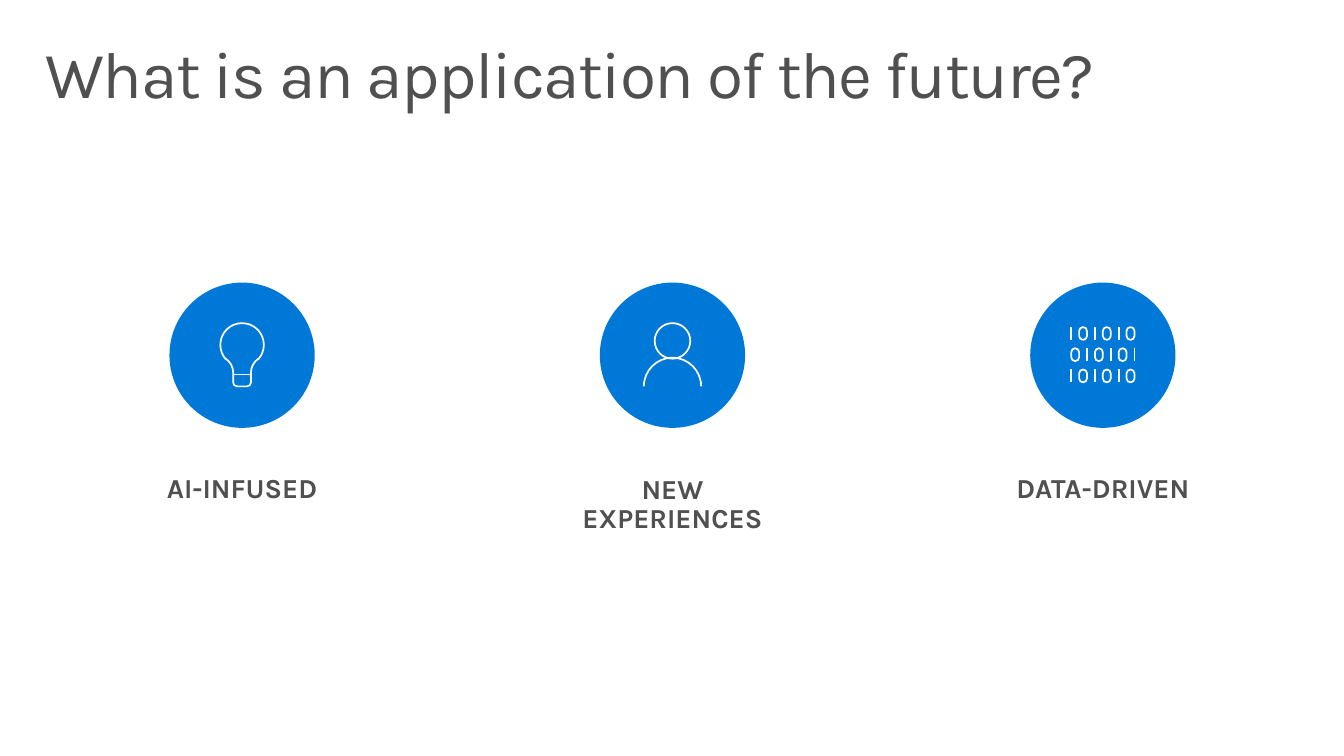
import copy
import math

import lxml.etree
import pptx
import pptx.dml.color
import pptx.enum.shapes
import pptx.enum.text
import pptx.oxml.ns
import pptx.util

Inches = pptx.util.Inches
qn = pptx.oxml.ns.qn

# Content
TITLE = "What is an application of the future?"
QUALITIES = [
    ("AI-INFUSED", "bulb"),
    ("NEW\nEXPERIENCES", "person"),
    ("DATA-DRIVEN", "binary"),
]
BINARY_ROWS = ["101010", "010101", "101010"]

THEME = {
    "font": "Karla",
    "ink": "505050",
    "badge": "0078D7",
    "icon": "FFFFFF",
    "title_size": 48,
    "caption_size": 20,
    "icon_line": 1.25,
}

# Layout, in inches
FIRST_CENTER, LAST_CENTER = 2.45, 11.16
COLUMN_PITCH = (LAST_CENTER - FIRST_CENTER) / (len(QUALITIES) - 1)
BADGE_TOP, BADGE_SIZE, ICON_MIDDLE = 2.86, 1.47, 3.59
CAPTION_TOP, CAPTION_WIDTH, CAPTION_HEIGHT = 4.65, 4.3, 1


def rgb(value):
    return pptx.dml.color.RGBColor.from_string(value)


def add_text(slide, text, box, size, inset, bold=False, align="LEFT", spacing=None):
    frame = slide.shapes.add_textbox(*map(Inches, box)).text_frame
    frame.word_wrap = True
    frame.vertical_anchor = pptx.enum.text.MSO_ANCHOR.TOP
    frame.margin_left = frame.margin_right = Inches(inset[0])
    frame.margin_top = frame.margin_bottom = Inches(inset[1])
    paragraph = frame.paragraphs[0]
    paragraph.alignment = getattr(pptx.enum.text.PP_ALIGN, align)
    paragraph.line_spacing = 0.9
    for index, line in enumerate(text.split("\n")):
        if index:
            paragraph.add_line_break()
        run = paragraph.add_run()
        run.text = line
        run.font.name = THEME["font"]
        run.font.size = pptx.util.Pt(size)
        run.font.bold = bold
        run.font.color.rgb = rgb(THEME["ink"])
        if spacing is not None:
            run.font._element.set("spc", str(spacing))
    # Line breaks take the format of the text around them
    for line_break in paragraph._p.findall(qn("a:br")):
        line_break.append(copy.deepcopy(run.font._element))


# Icon strokes: a start point, then segments of one point (line) or three (curve)
def arc(x, y, rx, ry, *angles):
    """Start point and one curve for each step between the angles."""
    def at(angle):
        return x + rx * math.cos(angle), y + ry * math.sin(angle)

    turns = [math.radians(angle) for angle in angles]
    curves = []
    for start, end in zip(turns, turns[1:]):
        pull = 4 / 3 * math.tan((end - start) / 4)
        (x0, y0), (x1, y1) = at(start), at(end)
        curves.append([
            (x0 - pull * rx * math.sin(start), y0 + pull * ry * math.cos(start)),
            (x1 + pull * rx * math.sin(end), y1 - pull * ry * math.cos(end)),
            (x1, y1),
        ])
    return at(turns[0]), curves


def join(*arcs):
    """Arcs in a row, with a line from each to the next."""
    start, segments = arcs[0]
    segments = list(segments)
    for next_start, curves in arcs[1:]:
        segments += [[next_start], *curves]
    return start, segments


def bulb():
    glass = arc(0, -0.1, 0.22, 0.22, 41, 0, -90, -180, -221)
    left_neck = arc(-0.29, 0.18, 0.2, 0.18, -52, 0)
    left_corner = arc(-0.05, 0.28, 0.04, 0.04, 180, 90)
    right_corner = arc(0.05, 0.28, 0.04, 0.04, 90, 0)
    right_neck = arc(0.29, 0.18, 0.2, 0.18, 180, 232)
    outline = join(glass, left_neck, left_corner, right_corner, right_neck)
    return [(*outline, True), ((-0.09, 0.2), [[(0.09, 0.2)]], False)]


def person():
    head = arc(0, -0.14, 0.18, 0.18, 180, 270, 360, 450, 540)
    shoulders = arc(0, 0.32, 0.29, 0.29, 360, 270, 180)
    return [(*head, True), (*shoulders, False)]


def binary():
    zero_width, height, gap, row_pitch = 0.08, 0.13, 0.08, 0.43 / 2
    radius = zero_width / 2
    strokes = []
    for row, digits in enumerate(BINARY_ROWS):
        x, top = -0.32, -0.28 + row * row_pitch
        for digit in digits:
            if digit == "1":
                strokes.append(((x, top), [[(x, top + height)]], False))
            else:
                upper = arc(x + radius, top + radius, radius, radius, 180, 270, 360)
                lower = arc(x + radius, top + height - radius, radius, radius, 0, 90, 180)
                strokes.append((*join(upper, lower), True))
                x += zero_width
            x += gap
    return strokes


ICONS = {"bulb": bulb, "person": person, "binary": binary}


def add_icon(group, center, strokes):
    def place(point):
        return Inches(center + point[0]), Inches(ICON_MIDDLE + point[1])

    builder = None
    for start, segments, closed in strokes:
        if builder is None:
            builder = group.shapes.build_freeform(*place(start))
        else:
            builder.move_to(*place(start))
        builder.add_line_segments([place(s[-1]) for s in segments], close=closed)
    drawing = builder.convert_to_shape()
    drawing.fill.background()
    drawing.line.color.rgb = rgb(THEME["icon"])
    drawing.line.width = pptx.util.Pt(THEME["icon_line"])
    drawing.shadow.inherit = False

    # Turn the three-point segments into curves
    lines = list(drawing._element.iter(qn("a:lnTo")))
    segments = [segment for stroke in strokes for segment in stroke[1]]
    for line, segment in zip(lines, segments):
        if len(segment) == 3:
            line.tag = qn("a:cubicBezTo")
            for index, control in enumerate(segment[:2]):
                x, y = place(control)
                point = lxml.etree.Element(qn("a:pt"))
                point.set("x", str(x - drawing.left))
                point.set("y", str(y - drawing.top))
                line.insert(index, point)


def add_badge(slide, center, icon):
    group = slide.shapes.add_group_shape()
    disc = group.shapes.add_shape(
        pptx.enum.shapes.MSO_SHAPE.OVAL, Inches(center - BADGE_SIZE / 2),
        Inches(BADGE_TOP), Inches(BADGE_SIZE), Inches(BADGE_SIZE))
    disc.fill.solid()
    disc.fill.fore_color.rgb = rgb(THEME["badge"])
    disc.line.fill.background()
    disc.shadow.inherit = False
    add_icon(group, center, ICONS[icon]())


def main():
    deck = pptx.Presentation()
    deck.slide_width, deck.slide_height = Inches(13.6), Inches(7.65)
    slide = deck.slides.add_slide(deck.slide_layouts[6])

    # Title
    add_text(slide, TITLE, (0.3, 0.32, 13, 1), THEME["title_size"], (0.16, 0.1), spacing=-102)

    # One badge and caption per quality
    for column, (caption, icon) in enumerate(QUALITIES):
        center = FIRST_CENTER + column * COLUMN_PITCH
        add_badge(slide, center, icon)
        box = (center - CAPTION_WIDTH / 2, CAPTION_TOP, CAPTION_WIDTH, CAPTION_HEIGHT)
        add_text(slide, caption, box, THEME["caption_size"], (0.2, 0.16),
                 bold=True, align="CENTER")

    deck.save("out.pptx")


if __name__ == "__main__":
    main()
